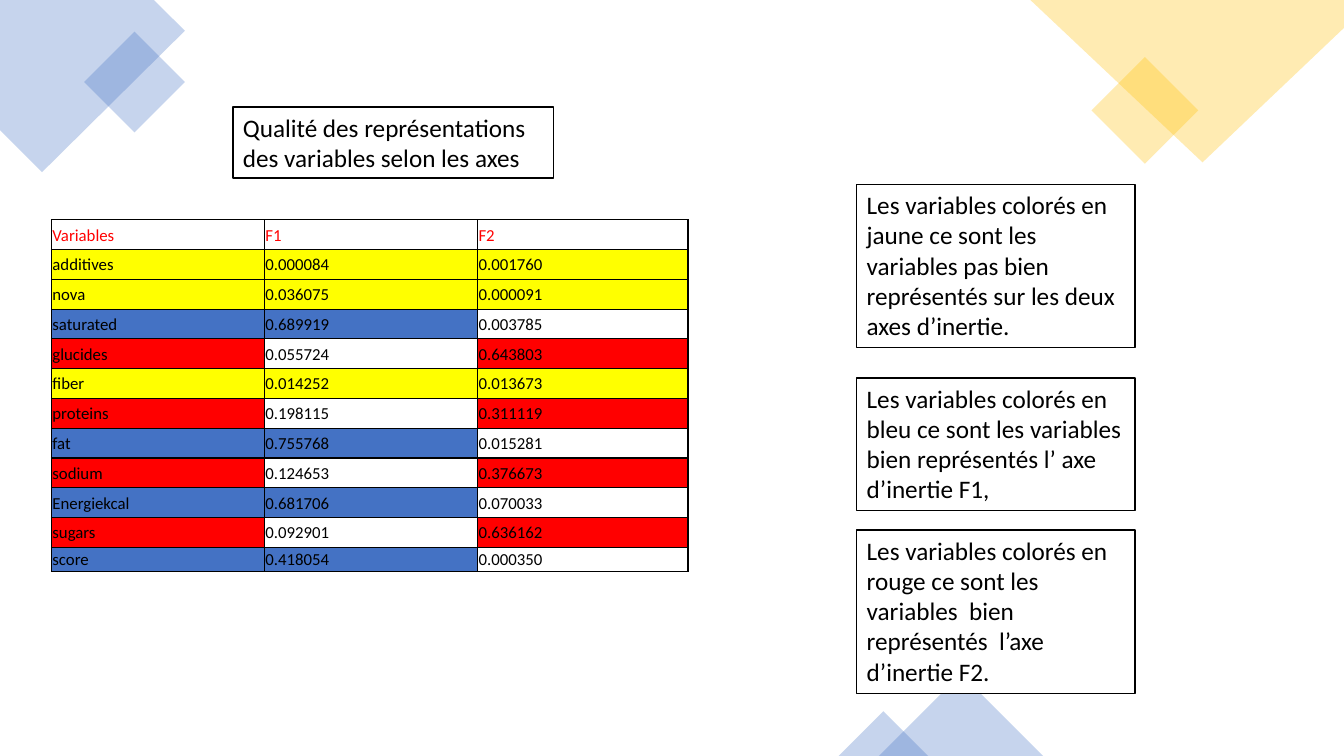
from lxml.etree import SubElement as Sub
from pptx import Presentation
from pptx.dml.color import RGBColor
from pptx.enum.shapes import MSO_SHAPE as Kind
from pptx.enum.text import MSO_ANCHOR as Anchor, MSO_AUTO_SIZE as Auto, PP_ALIGN as Align
from pptx.oxml.ns import qn
from pptx.util import Pt

BLUE, GOLD, YELLOW, RED = "4472C4", "FFC000", "FFFF00", "FF0000"
BLACK, WHITE = "000000", "FFFFFF"

HEAD = ("Variables", "F1", "F2")
ROWS = [
    ("additives", "0.000084", "0.001760", YELLOW),
    ("nova", "0.036075", "0.000091", YELLOW),
    ("saturated", "0.689919", "0.003785", BLUE),
    ("glucides", "0.055724", "0.643803", RED),
    ("fiber", "0.014252", "0.013673", YELLOW),
    ("proteins", "0.198115", "0.311119", RED),
    ("fat", "0.755768", "0.015281", BLUE),
    ("sodium", "0.124653", "0.376673", RED),
    ("Energiekcal", "0.681706", "0.070033", BLUE),
    ("sugars", "0.092901", "0.636162", RED),
    ("score", "0.418054", "0.000350", BLUE),
]
# Columns that each colour marks
MARKS = {YELLOW: (0, 1, 2), BLUE: (0, 1), RED: (0, 2)}

TITLE = "Qualité des représentations des variables selon les axes"
NOTES = [
    (131.8, 116.6, "Les variables colorés en jaune ce sont les variables pas bien "
                   "représentés sur les deux axes d’inertie."),
    (270, 94.5, "Les variables colorés en bleu ce sont les variables bien "
                "représentés l’ axe d’inertie F1,"),
    (378.6, 116.6, "Les variables colorés en rouge ce sont les variables  bien "
                   "représentés  l’axe d’inertie F2."),
]


def rgb(code):
    return RGBColor.from_string(code)


def paint(shape, color):
    """Fill with a 30 % opaque colour, without line or shadow."""
    shape.shadow.inherit = False
    shape.line.fill.background()
    shape.fill.solid()
    shape.fill.fore_color.rgb = rgb(color)
    tint = shape.element.spPr.find(".//" + qn("a:srgbClr"))
    Sub(tint, qn("a:alpha"), val="30000")


def add_poly(slide, points, color):
    pen = slide.shapes.build_freeform(*points[0], scale=Pt(1))
    pen.add_line_segments(points[1:], close=True)
    paint(pen.convert_to_shape(), color)


def add_part(slide, kind, box, color, turn=0):
    shape = slide.shapes.add_shape(kind, *map(Pt, box))
    shape.rotation = turn
    paint(shape, color)


def add_decor(slide, width, height):
    add_poly(slide, [(0, 0), (110, 0), (131.5, 21.5), (30, 123), (0, 93)], BLUE)
    add_part(slide, Kind.RECTANGLE, (70.6, 33.1, 51, 51), BLUE, 315)
    add_part(slide, Kind.RECTANGLE, (width - 169.2, 51.8, 54, 54), GOLD, 315)
    add_poly(slide, [(width - 223.5, 0), (width, 0), (width, 20.5),
                     (width - 101, 116.5)], GOLD)
    for left, wide in ((627.8, 117.4), (599, 64)):
        tall = wide / 2
        add_part(slide, Kind.ISOSCELES_TRIANGLE, (left, height - tall, wide, tall), BLUE)


def fill_box(shape, box, text):
    """Place a black-edged white box and set its text."""
    shape.left, shape.top, shape.width, shape.height = map(Pt, box)
    shape.fill.solid()
    shape.fill.fore_color.rgb = rgb(WHITE)
    shape.line.color.rgb = rgb(BLACK)
    shape.line.width = Pt(1)
    frame = shape.text_frame
    frame.text = text
    frame.word_wrap = True
    frame.auto_size = Auto.NONE
    frame.vertical_anchor = Anchor.TOP
    para = frame.paragraphs[0]
    para.alignment = Align.LEFT
    para.line_spacing = 1.0
    para.space_before = Pt(0)
    style(para, 18, BLACK)


def style(para, size, color):
    font = para.font
    font.name, font.size = "Calibri", Pt(size)
    font.color.rgb = rgb(color)


def add_notes(slide, left, width):
    for top, height, text in NOTES:
        box = (left, top, width, height)
        shape = slide.shapes.add_shape(Kind.RECTANGLE, *map(Pt, box))
        shape.shadow.inherit = False
        fill_box(shape, box, text)


def set_cell(cell, text, color, back):
    cell.text = text
    cell.vertical_anchor = Anchor.MIDDLE
    cell.margin_left = cell.margin_right = Pt(0.75)
    cell.margin_top = cell.margin_bottom = Pt(0.75)
    para = cell.text_frame.paragraphs[0]
    para.line_spacing, para.space_after = 1.07, Pt(8)
    style(para, 12, color)
    props = cell._tc.get_or_add_tcPr()
    for side in ("lnL", "lnR", "lnT", "lnB"):
        line = Sub(props, qn("a:" + side), w=str(Pt(1)))
        Sub(Sub(line, qn("a:solidFill")), qn("a:srgbClr"), val=BLACK)
    if back:
        cell.fill.solid()
        cell.fill.fore_color.rgb = rgb(back)
    else:
        cell.fill.background()


def add_grid(slide, left, top, width, height):
    count = len(ROWS) + 1
    table = slide.shapes.add_table(count, len(HEAD), Pt(left), Pt(top),
                                   Pt(width), Pt(height)).table
    table.first_row = table.horz_banding = False
    last = 17.4
    for row in table.rows:
        row.height = Pt((height - last) / (count - 1))
    table.rows[count - 1].height = Pt(last)
    for col, wide in zip(table.columns, (152.2, 152.2, width - 304.4)):
        col.width = Pt(wide)
    for c, text in enumerate(HEAD):
        set_cell(table.cell(0, c), text, RED, None)
    for r, (*texts, mark) in enumerate(ROWS, 1):
        for c, text in enumerate(texts):
            back = mark if c in MARKS[mark] else None
            set_cell(table.cell(r, c), text, BLACK, back)


def main():
    deck = Presentation()
    deck.slide_width, deck.slide_height = Pt(960), Pt(540)
    slide = deck.slides.add_slide(deck.slide_layouts[5])
    add_decor(slide, 960, 540)
    add_grid(slide, 36.7, 157, 454.8, 251.5)
    fill_box(slide.shapes.title, (166.3, 76.3, 229, 51), TITLE)
    add_notes(slide, 612, 198.7)
    deck.save("out.pptx")


if __name__ == "__main__":
    main()
